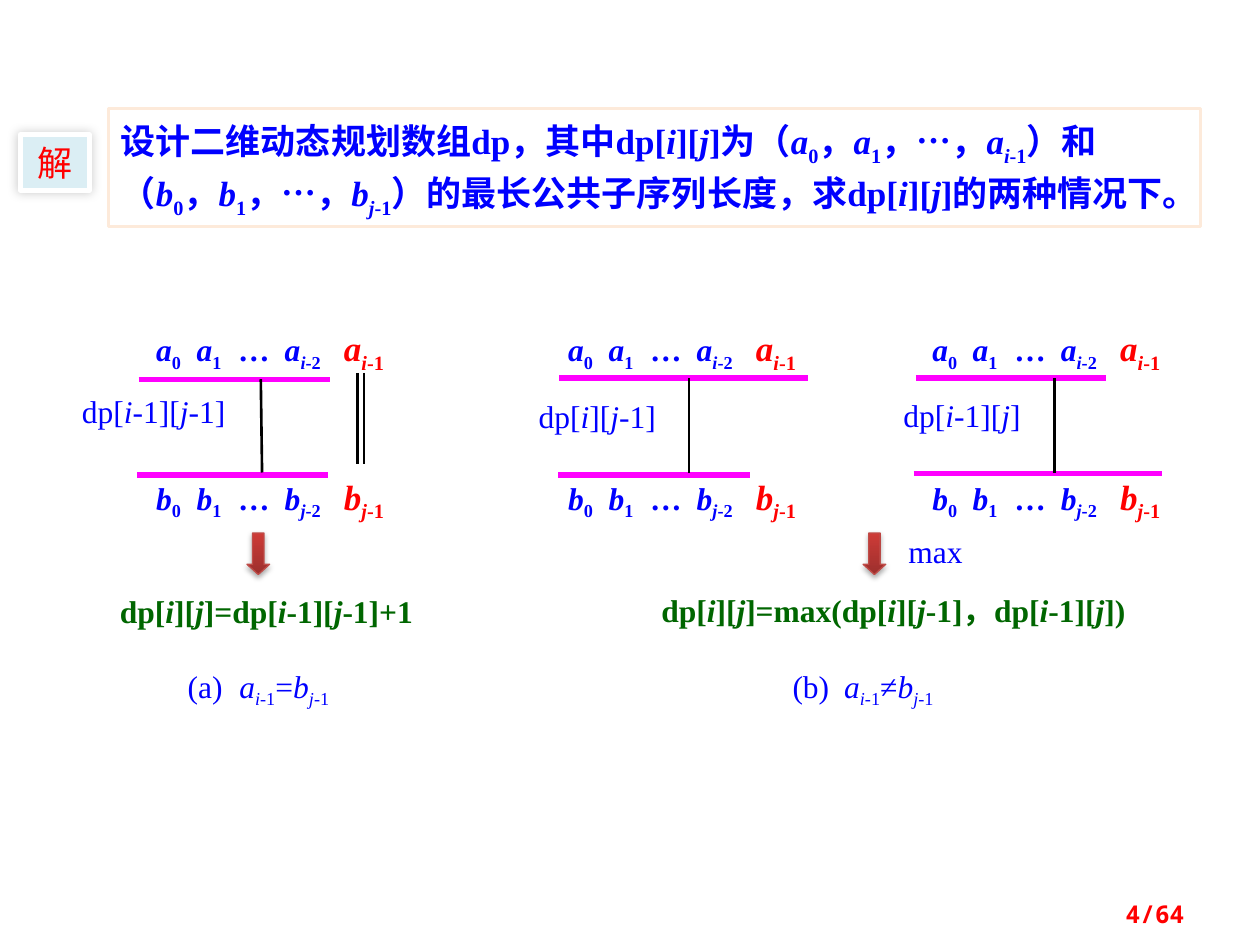
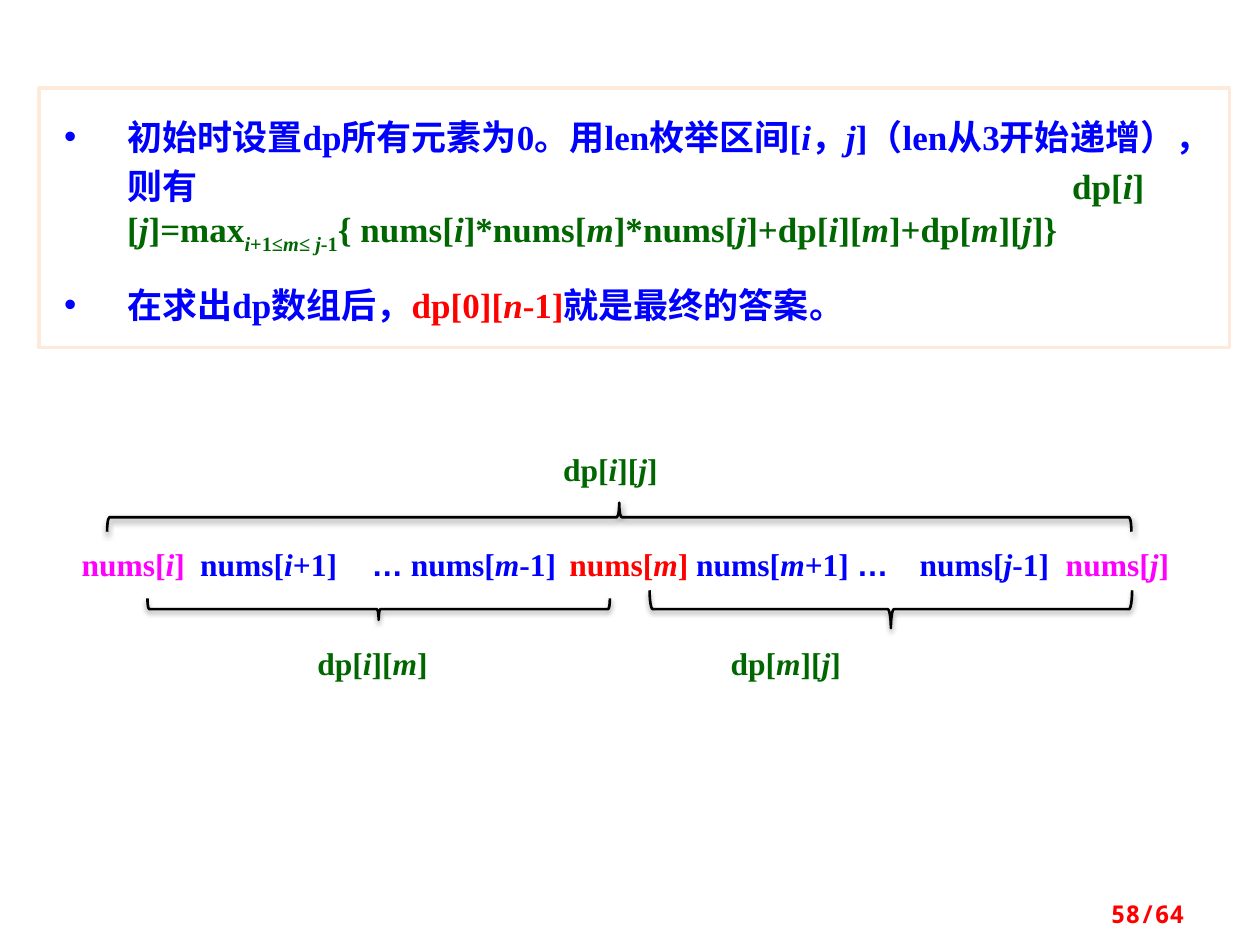
from lxml.etree import SubElement
from pptx import Presentation
from pptx.dml.color import RGBColor
from pptx.enum.shapes import MSO_CONNECTOR as Connector, MSO_SHAPE as Shape
from pptx.enum.text import MSO_ANCHOR as Anchor, PP_ALIGN as Align
from pptx.oxml.ns import qn
from pptx.util import Inches, Pt

hex_color = RGBColor.from_string
BLUE, RED, GREEN, MAGENTA = "0000FF", "FF0000", "006600", "FF00FF"
BLACK, WHITE, CREAM = "000000", "FFFFFF", "FDEADA"
SERIF, CHINESE, MONO = "Times New Roman", "Noto Sans CJK SC", "Noto Sans Mono"


def write(box, spans, size=18, bold=True, align=Align.LEFT, inset=(0, 0),
          tabs=(), bullet=False, first=True):
    """Add one paragraph of (text, colour[, font, size]); ~ toggles italic, ^ subscript."""
    frame = box.text_frame
    frame.word_wrap = True
    frame.margin_left = frame.margin_right = Inches(inset[0])
    frame.margin_top = frame.margin_bottom = Inches(inset[1])
    frame.vertical_anchor = Anchor.TOP
    para = frame.paragraphs[0] if first else frame.add_paragraph()
    para.alignment = align
    properties = para._p.get_or_add_pPr()
    if bullet:
        properties.set("marL", str(Inches(0.5)))
        properties.set("indent", str(-Inches(0.5)))
        SubElement(properties, qn("a:buFont"), typeface="Arial")
        SubElement(properties, qn("a:buChar"), char="•")
    if tabs:
        stops = SubElement(properties, qn("a:tabLst"))
        for stop in tabs:
            SubElement(stops, qn("a:tab"), pos=str(Inches(stop)), algn="l")
    for text, color, *style in spans:
        font_name, font_size = style or (SERIF, size)
        for level, piece in enumerate(text.split("^")):
            for slant, part in enumerate(piece.split("~")):
                if not part:
                    continue
                span = para.add_run()
                span.text = part
                span.font.size = Pt(font_size)
                span.font.bold = bold
                span.font.italic = slant % 2 == 1
                span.font.color.rgb = hex_color(color)
                span.font.name = font_name
                run_properties = span._r.get_or_add_rPr()
                SubElement(run_properties, qn("a:ea"), typeface=CHINESE)
                if level % 2:
                    run_properties.set("baseline", "-25000")
    return para


def add_shape(page, kind, at, line, width, fill=None, shadow=None):
    """Add a preset shape; shadow is (opacity %, blur pt, distance pt, angle)."""
    shape = page.shapes.add_shape(kind, *map(Inches, at))
    shape.line.color.rgb = hex_color(line)
    shape.line.width = Pt(width)
    if fill:
        shape.fill.solid()
        shape.fill.fore_color.rgb = hex_color(fill)
    else:
        shape.fill.background()
    shape.shadow.inherit = False
    if shadow:
        opacity, blur, distance, angle = shadow
        effects = shape._element.spPr.find(qn("a:effectLst"))
        outer = SubElement(effects, qn("a:outerShdw"), blurRad=str(Pt(blur)),
                           dist=str(Pt(distance)), dir=str(angle * 60000), rotWithShape="0")
        tint = SubElement(outer, qn("a:srgbClr"), val=BLACK)
        SubElement(tint, qn("a:alpha"), val=str(opacity * 1000))
    return shape


deck = Presentation()
deck.slide_width, deck.slide_height = Inches(10), Inches(7.5)

# Pages with their numbers
pages = []
for number in ("4/64", "58/64"):
    page = deck.slides.add_slide(deck.slide_layouts[6])
    box = page.shapes.add_textbox(Inches(7.17), Inches(7.05), Inches(2.33), Inches(0.4))
    write(box, [(number, RED, MONO, 14)], align=Align.RIGHT, inset=(0.1, 0.05))
    box.text_frame.vertical_anchor = Anchor.MIDDLE
    pages.append(page)
cases_page, interval_page = pages

# Slide 1: problem statement and its tag
statement = add_shape(cases_page, Shape.RECTANGLE, (0.86, 0.86, 8.67, 0.94), CREAM, 2, WHITE)
para = write(statement, [(
    "设计二维动态规划数组dp，其中dp[~i~][~j~]为（~a~^0^，~a~^1^，…，~a~^~i~-1^）和"
    "（~b~^0^，~b~^1^，…，~b~^~j~-1^）的最长公共子序列长度，求dp[~i~][~j~]的两种情况下。",
    BLUE)], size=20, inset=(0.1, 0.05))
para.line_spacing = Pt(30)
tag = add_shape(cases_page, Shape.RECTANGLE, (0.16, 1.07, 0.55, 0.44), WHITE, 3, "DBEEF4",
                (20, 6, 0, 225))
write(tag, [("解", RED, CHINESE, 20)], bold=False, align=Align.CENTER, inset=(0.1, 0.05))

# Slide 1: the two sequences of each subproblem
for left in (1.24, 4.51, 7.4):
    for top, letter, index in ((2.59, "a", "i"), (3.77, "b", "j")):
        box = cases_page.shapes.add_textbox(
            Inches(left), Inches(top), Inches(2.2), Inches(0.34))
        write(box, [(f"~{letter}~^0^\t~{letter}~^1^\t…\t~{letter}~^~{index}~-2^\t", BLUE),
                    (f"~{letter}~^~{index}~-1^", RED, SERIF, 20)],
              tabs=(0.32, 0.65, 1.02, 1.49))

# Slide 1: ranges, links and the double line for equality
for x1, y1, x2, y2, color, width in (
        (1.1, 3.01, 2.62, 3.01, MAGENTA, 3), (1.09, 3.77, 2.6, 3.77, MAGENTA, 3),
        (4.44, 3, 6.41, 3, MAGENTA, 3), (4.43, 3.77, 5.95, 3.77, MAGENTA, 3),
        (7.27, 3, 8.78, 3, MAGENTA, 3), (7.25, 3.76, 9.22, 3.76, MAGENTA, 3),
        (2.07, 3.01, 2.08, 3.75, BLACK, 1.5), (5.47, 3, 5.47, 3.75, BLACK, 1.5),
        (8.37, 3, 8.37, 3.75, BLACK, 1.5),
        (2.84, 2.96, 2.84, 3.68, BLACK, 1.5), (2.89, 2.96, 2.89, 3.68, BLACK, 1.5)):
    line = cases_page.shapes.add_connector(
        Connector.STRAIGHT, Inches(x1), Inches(y1), Inches(x2), Inches(y2))
    line.line.color.rgb = hex_color(color)
    line.line.width = Pt(width)
    SubElement(line._element.spPr, qn("a:effectLst"))

# Slide 1: subproblem names and recurrences
for left, top, width, text, color in (
        (0.55, 3.11, 1.34, "dp[~i~-1][~j~-1]", BLUE),
        (4.14, 3.15, 1.2, "dp[~i~][~j~-1]", BLUE),
        (7.04, 3.14, 1.19, "dp[~i~-1][~j~]", BLUE),
        (7.15, 4.22, 0.55, "max", BLUE),
        (0.83, 4.7, 2.57, "dp[~i~][~j~]=dp[~i~-1][~j~-1]+1", GREEN),
        (5.04, 4.69, 4.1, "dp[~i~][~j~]=max(dp[~i~][~j~-1]，dp[~i~-1][~j~])", GREEN)):
    box = cases_page.shapes.add_textbox(Inches(left), Inches(top), Inches(width), Inches(0.34))
    write(box, [(text, color)], bold=color == GREEN, align=Align.CENTER)

# Slide 1: arrows and captions
for arrow_left, caption_left, case, sign in ((1.96, 1.49, "a", "="), (6.85, 6.29, "b", "≠")):
    arrow = add_shape(cases_page, Shape.DOWN_ARROW, (arrow_left, 4.23, 0.18, 0.33),
                      "BF4C48", 0.75, shadow=(35, 3.1, 1.8, 90))
    arrow.adjustments[0], arrow.adjustments[1] = 0.5, 0.45
    arrow.fill.gradient()
    arrow.fill.gradient_angle = 90
    for stop, color in zip(arrow.fill.gradient_stops, ("9C2F2D", "CE3B37")):
        stop.color.rgb = hex_color(color)
    box = cases_page.shapes.add_textbox(
        Inches(caption_left), Inches(5.29), Inches(1.5), Inches(0.34))
    write(box, [(f"({case})\t~a~^~i~-1^{sign}~b~^~j~-1^", BLUE)], bold=False, tabs=(0.41,))

# Slide 2: recurrence and answer
panel = add_shape(interval_page, Shape.RECTANGLE, (0.31, 0.7, 9.45, 2.06), CREAM, 2, WHITE)
recurrence = [
    ("初始时设置dp所有元素为0。用len枚举区间[~i~，~j~]（len从3开始递增），则有\t", BLUE),
    ("dp[~i~][~j~]=max^~i~+1≤~m~≤\u00a0~j~-1^{\u00a0nums[~i~]*nums[~m~]*nums[~j~]"
     "+dp[~i~][~m~]+dp[~m~][~j~]}", GREEN)]
answer = [("在求出dp数组后，", BLUE), ("dp[0][~n~-1]", RED), ("就是最终的答案。", BLUE)]
for spans, tabs in ((recurrence, (8,)), (answer, ())):
    first = spans is recurrence
    para = write(panel, spans, size=20, inset=(0.2, 0.16), tabs=tabs, bullet=True, first=first)
    para.line_spacing = Pt(28)
    para.space_before = Pt(0 if first else 12)
panel.text_frame.margin_right = Inches(0.1)

# Slide 2: the array
box = interval_page.shapes.add_textbox(Inches(0.55), Inches(4.28), Inches(8.91), Inches(0.4))
dots = ("…", BLUE, "Arial", 18)
write(box, [("nums[~i~]\t", MAGENTA), ("nums[~i~+1]\t", BLUE), dots,
            (" nums[~m~-1]\t", BLUE), ("nums[~m~]", RED), (" nums[~m~+1] ", BLUE), dots,
            ("\tnums[~j~-1]\t", BLUE), ("nums[~j~]", MAGENTA)],
      inset=(0.1, 0.05), tabs=(0.94, 2.3, 3.87, 6.65, 7.81))

# Slide 2: braces with the intervals they span
for at, turn, left, top, text in (
        ((2.92, 3, 0.17, 3.67), 90, 2.42, 5.06, "dp[~i~][~m~]"),
        ((6.92, 2.92, 0.3, 3.83), 90, 5.7, 5.06, "dp[~m~][~j~]"),
        ((4.8, 0.04, 0.23, 8.13), 270, 4.37, 3.52, "dp[~i~][~j~]")):
    brace = add_shape(interval_page, Shape.RIGHT_BRACE, at, BLACK, 1.5,
                      shadow=(38, 3.1, 1.6, 90))
    brace.rotation = turn
    box = interval_page.shapes.add_textbox(Inches(left), Inches(top), Inches(1.25), Inches(0.4))
    write(box, [(text, GREEN)], inset=(0.1, 0.05))

deck.save("out.pptx")
